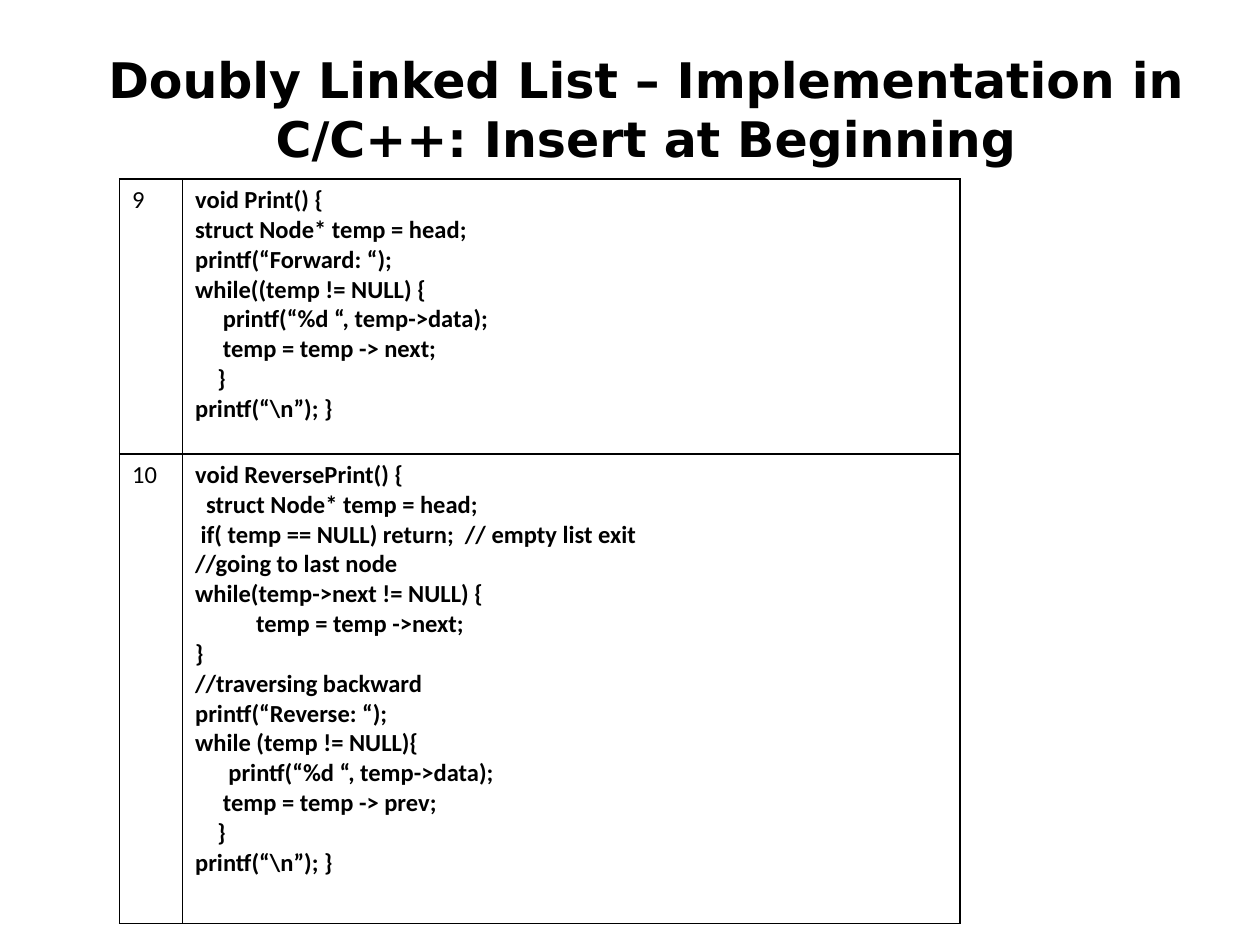
from lxml import etree
from pptx import Presentation
from pptx.dml import color
from pptx.enum import text
from pptx.oxml import ns
from pptx.util import Cm, Pt

TITLE = "Doubly Linked List – Implementation in C/C++: Insert at Beginning"
STEPS = [
    ("9", r"""void Print() {
struct Node* temp = head;
printf(“Forward: “);
while((temp != NULL) {
     printf(“%d “, temp->data);
     temp = temp -> next;
    }
printf(“\n”); }"""),
    ("10", r"""void ReversePrint() {
  struct Node* temp = head;
 if( temp == NULL) return;  // empty list exit
//going to last node
while(temp->next != NULL) {
           temp = temp ->next;
}
//traversing backward
printf(“Reverse: “);
while (temp != NULL){
      printf(“%d “, temp->data);
     temp = temp -> prev;
    }
printf(“\n”); }"""),
]
COL_WIDTHS = [1.27, 15.67]
ROW_HEIGHTS = [5.54, 9.47]
BLACK = "000000"


def rgb(value):
    return color.RGBColor.from_string(value)


def write(tf, content, size=14, font="Calibri", bold=False, align=text.PP_ALIGN.LEFT):
    tf.word_wrap = True
    for i, line in enumerate(content.split("\n")):
        p = tf.paragraphs[0] if i == 0 else tf.add_paragraph()
        p.alignment = align
        r = p.add_run()
        r.text = line
        r.font.size = Pt(size)
        r.font.name = font
        r.font.bold = bold
        r.font.color.rgb = rgb(BLACK)


def add_borders(cell):
    props = cell._tc.get_or_add_tcPr()
    for i, side in enumerate(("lnL", "lnR", "lnT", "lnB")):
        line = etree.Element(ns.qn(f"a:{side}"), w=str(Pt(1)))
        fill = etree.SubElement(line, ns.qn("a:solidFill"))
        etree.SubElement(fill, ns.qn("a:srgbClr"), val=BLACK)
        props.insert(i, line)


def main():
    prs = Presentation()
    prs.slide_width, prs.slide_height = Cm(25.4), Cm(19.05)
    s = prs.slides.add_slide(prs.slide_layouts[6])

    title = s.shapes.add_textbox(Cm(1.27), Cm(0.76), Cm(23.5), Cm(3.18))
    title.text_frame.margin_top = Cm(0.24)
    write(title.text_frame, TITLE, size=28, font="DejaVu Sans", bold=True,
          align=text.PP_ALIGN.CENTER)

    frame = s.shapes.add_table(len(STEPS), len(COL_WIDTHS), Cm(2.41), Cm(3.61),
                               Cm(sum(COL_WIDTHS)), Cm(sum(ROW_HEIGHTS)))
    table = frame.table
    table.first_row = table.horz_banding = False
    for column, width in zip(table.columns, COL_WIDTHS):
        column.width = Cm(width)
    for row, height, step in zip(table.rows, ROW_HEIGHTS, STEPS):
        row.height = Cm(height)
        for i, (cell, content) in enumerate(zip(row.cells, step)):
            cell.fill.background()
            add_borders(cell)
            write(cell.text_frame, content, bold=i == 1)

    prs.save("out.pptx")


if __name__ == "__main__":
    main()
